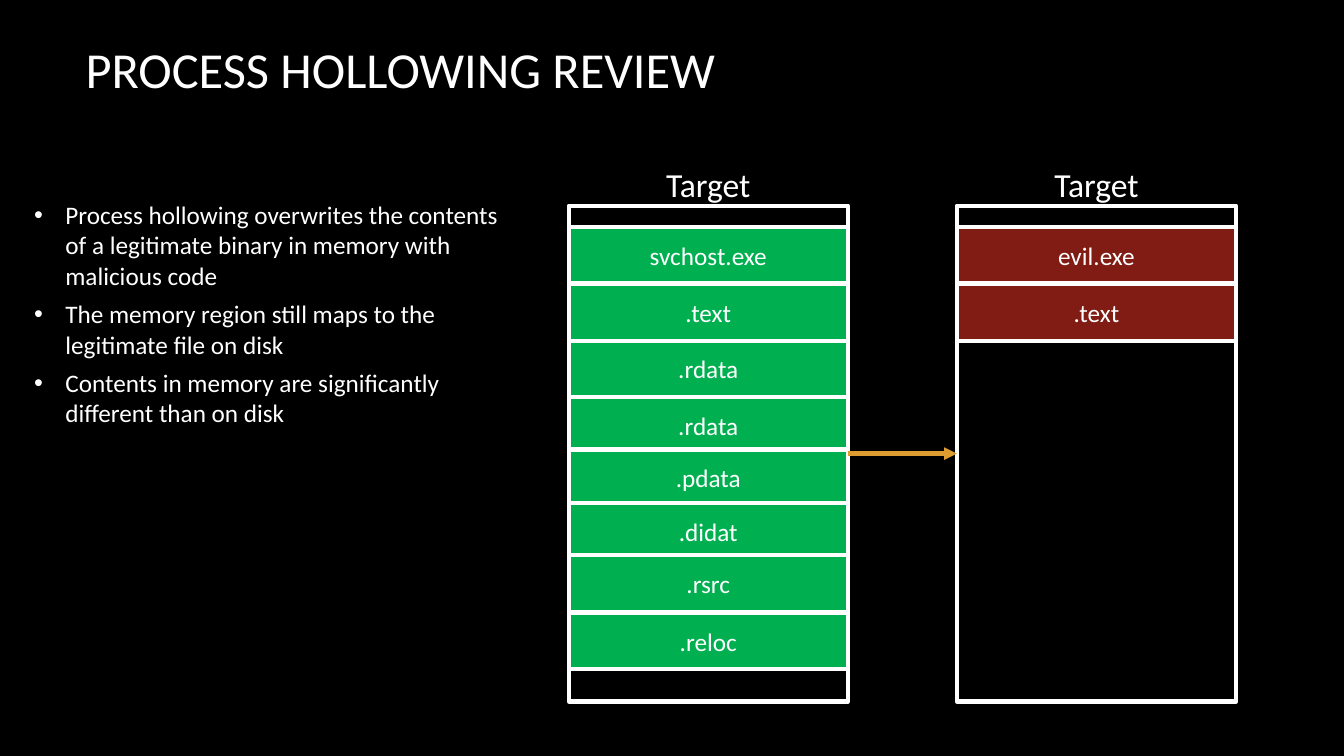
"""Build the process hollowing review slide."""
from dataclasses import dataclass

import lxml.etree
import pptx
import pptx.dml.color
import pptx.enum.shapes
import pptx.enum.text
import pptx.oxml
import pptx.oxml.ns
import pptx.util

Inches = pptx.util.Inches
Align = pptx.enum.text.PP_ALIGN
Anchor = pptx.enum.text.MSO_ANCHOR

FONT = "Calibri"
WHITE = "FFFFFF"
BLACK = "000000"
GREEN = "00B050"
RED = "801C14"
ORANGE = "DD9D31"

COLUMN_WIDTH = 2.77
FRAME_TOP = 2.04
FRAME_HEIGHT = 4.92
SECTION_HEIGHT = 0.56
SECTION_TOPS = (2.25, 2.82, 3.38, 3.94, 4.46, 4.99, 5.51, 6.08)
INDENT = 0.31


@dataclass(frozen=True)
class Box:
    left: float
    top: float
    width: float
    height: float

    def lengths(self) -> tuple:
        return tuple(Inches(n) for n in (self.left, self.top, self.width, self.height))


@dataclass(frozen=True)
class Process:
    label: str
    left: float
    color: str
    sections: tuple[str, ...]


PROCESSES = (
    Process("Target", 5.64, GREEN,
            ("svchost.exe", ".text", ".rdata", ".rdata", ".pdata", ".didat", ".rsrc", ".reloc")),
    Process("Target", 9.49, RED, ("evil.exe", ".text")),
)

POINTS = (
    "Process hollowing overwrites the contents of a legitimate binary in memory with malicious code",
    "The memory region still maps to the legitimate file on disk",
    "Contents in memory are significantly different than on disk",
)


def rgb(value: str) -> pptx.dml.color.RGBColor:
    return pptx.dml.color.RGBColor.from_string(value)


def add_span(para, text: str, size: float) -> None:
    span = para.add_run()
    span.text = text
    span.font.size = pptx.util.Pt(size)
    span.font.name = FONT
    span.font.color.rgb = rgb(WHITE)


def add_text(page, box: Box, text: str, size: float, align, anchor) -> None:
    frame = page.shapes.add_textbox(*box.lengths()).text_frame
    frame.word_wrap = True
    frame.vertical_anchor = anchor
    para = frame.paragraphs[0]
    para.alignment = align
    add_span(para, text, size)


def add_bullets(page, box: Box, points: tuple[str, ...]) -> None:
    frame = page.shapes.add_textbox(*box.lengths()).text_frame
    frame.word_wrap = True
    for index, point in enumerate(points):
        para = frame.add_paragraph() if index else frame.paragraphs[0]
        para.space_after = pptx.util.Pt(6)
        add_span(para, point, 18)
        properties = para._p.get_or_add_pPr()
        properties.set("marL", str(Inches(INDENT)))
        properties.set("indent", str(-Inches(INDENT)))
        for tag, name, value in (("a:buFont", "typeface", "Arial"), ("a:buChar", "char", "•")):
            mark = lxml.etree.SubElement(properties, pptx.oxml.ns.qn(tag))
            mark.set(name, value)


def add_rectangle(page, box: Box, fill: str | None = None, text: str = ""):
    shape = page.shapes.add_shape(pptx.enum.shapes.MSO_SHAPE.RECTANGLE, *box.lengths())
    shape.shadow.inherit = False
    shape.line.color.rgb = rgb(WHITE)
    shape.line.width = pptx.util.Pt(3)
    if fill:
        shape.fill.solid()
        shape.fill.fore_color.rgb = rgb(fill)
    else:
        shape.fill.background()
    if text:
        shape.text_frame.vertical_anchor = Anchor.MIDDLE
        para = shape.text_frame.paragraphs[0]
        para.alignment = Align.CENTER
        add_span(para, text, 18)
    return shape


def add_process(page, process: Process):
    label_box = Box(process.left, 1.58, COLUMN_WIDTH, 0.5)
    add_text(page, label_box, process.label, 24, Align.CENTER, Anchor.TOP)
    frame = add_rectangle(page, Box(process.left, FRAME_TOP, COLUMN_WIDTH, FRAME_HEIGHT))
    for top, section in zip(SECTION_TOPS, process.sections):
        box = Box(process.left, top, COLUMN_WIDTH, SECTION_HEIGHT)
        add_rectangle(page, box, process.color, section)
    return frame


def add_arrow(page, source, target) -> None:
    arrow = page.shapes.add_connector(pptx.enum.shapes.MSO_CONNECTOR.STRAIGHT, 0, 0, 0, 0)
    arrow.begin_connect(source, 3)
    arrow.end_connect(target, 1)
    arrow.line.color.rgb = rgb(ORANGE)
    arrow.line.width = pptx.util.Pt(3)
    head = lxml.etree.SubElement(arrow.line._get_or_add_ln(), pptx.oxml.ns.qn("a:tailEnd"))
    head.set("type", "triangle")
    lxml.etree.SubElement(arrow._element.spPr, pptx.oxml.ns.qn("a:effectLst"))


def main() -> None:
    deck = pptx.Presentation()
    deck.slide_width = Inches(13.33)
    deck.slide_height = Inches(7.5)
    page = deck.slides.add_slide(deck.slide_layouts[6])
    page.background.fill.solid()
    page.background.fill.fore_color.rgb = rgb(BLACK)

    title_box = Box(0.75, 0.14, 11.08, 1.08)
    add_text(page, title_box, "PROCESS HOLLOWING REVIEW", 36, Align.LEFT, Anchor.MIDDLE)
    before, after = [add_process(page, process) for process in PROCESSES]
    add_arrow(page, before, after)
    add_bullets(page, Box(0.24, 1.93, 5.01, 2.39), POINTS)
    deck.save("out.pptx")


if __name__ == "__main__":
    main()
